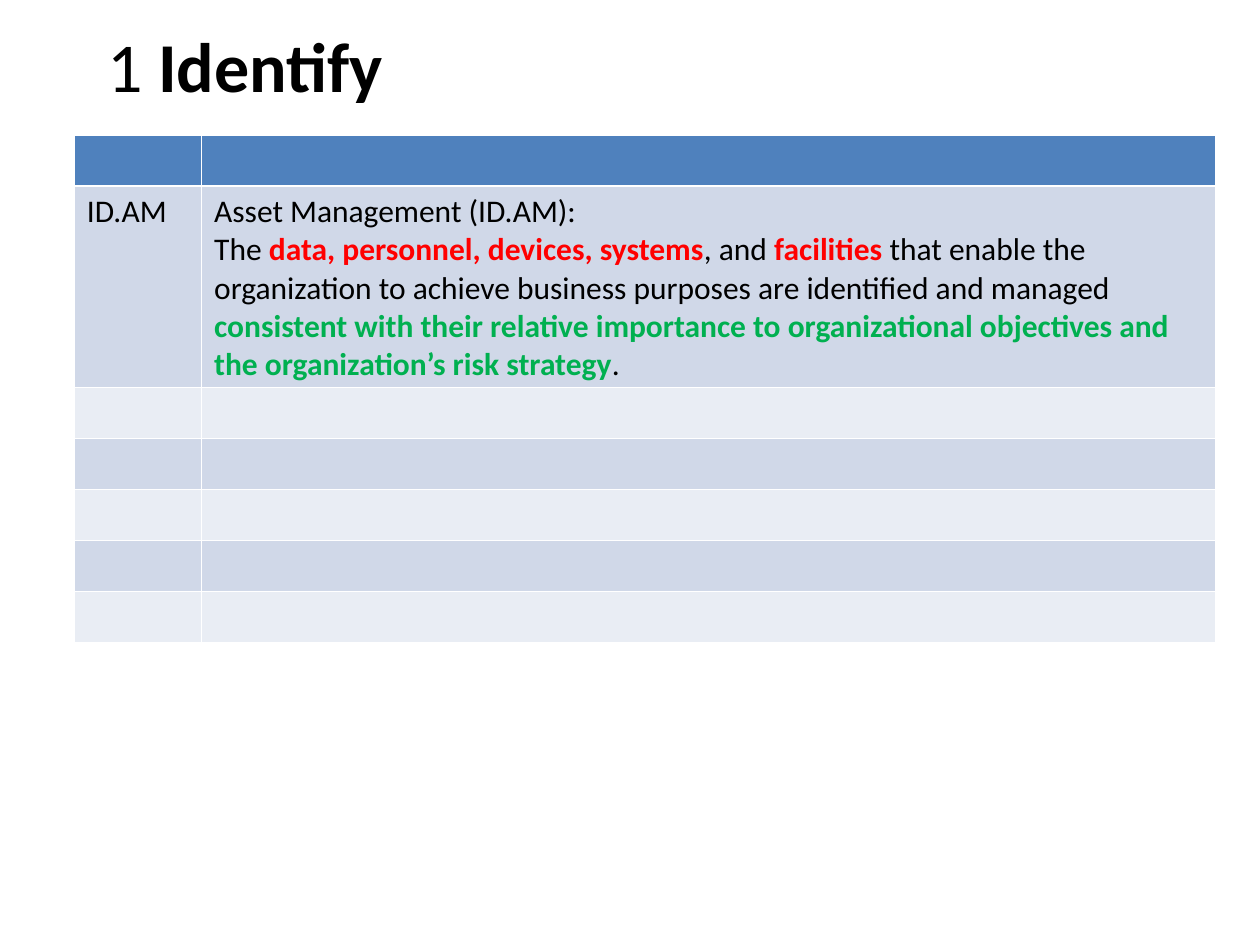
from dataclasses import dataclass

from pptx import Presentation
from pptx.dml.color import RGBColor
from pptx.enum.text import MSO_ANCHOR, MSO_AUTO_SIZE, PP_ALIGN
from pptx.util import Inches, Pt

COLORS = {
    "header": "4F81BD",
    "band_dark": "D0D8E8",
    "band_light": "E9EDF4",
    "text": "000000",
    "asset": "FF0000",
    "goal": "00B050",
}
FONT = "Calibri"
COLUMN_WIDTHS = (1.01, 8.05)
ROW_HEIGHT = 0.405
CATEGORY_HEIGHT = 1.6
ROW_COUNT = 7


@dataclass
class Span:
    text: str
    color: str = "text"
    bold: bool = False


CATEGORY = [[Span("ID.AM")]]
DESCRIPTION = [
    [Span("Asset Management (ID.AM):")],
    [
        Span("The "),
        Span("data, personnel, devices, systems", "asset", True),
        Span(", and "),
        Span("facilities", "asset", True),
        Span(" that enable the organization to achieve business purposes "
             "are identified and managed "),
        Span("consistent with their relative importance to organizational "
             "objectives and the organization’s risk strategy", "goal", True),
        Span("."),
    ],
]


def write_text(frame, paragraphs: list[list[Span]], *, size: float) -> None:
    for index, spans in enumerate(paragraphs):
        para = frame.add_paragraph() if index else frame.paragraphs[0]
        para.alignment = PP_ALIGN.LEFT
        for span in spans:
            run = para.add_run()
            run.text = span.text
            run.font.name = FONT
            run.font.size = Pt(size)
            run.font.bold = span.bold
            run.font.color.rgb = RGBColor.from_string(COLORS[span.color])


def add_title(page) -> None:
    title = page.shapes.title
    title.left, title.top = Inches(0.75), Inches(0.13)
    title.width, title.height = Inches(2.5), Inches(0.77)
    frame = title.text_frame
    frame.word_wrap = True
    frame.auto_size = MSO_AUTO_SIZE.SHAPE_TO_FIT_TEXT
    frame.vertical_anchor = MSO_ANCHOR.TOP
    write_text(frame, [[Span("1 "), Span("Identify", bold=True)]], size=40)


def row_color(index: int) -> str:
    if index == 0:
        return COLORS["header"]
    return COLORS["band_dark" if index % 2 else "band_light"]


def add_category_table(page) -> None:
    height = ROW_HEIGHT * (ROW_COUNT - 1) + CATEGORY_HEIGHT
    table = page.shapes.add_table(
        ROW_COUNT, len(COLUMN_WIDTHS), Inches(0.59), Inches(1.07),
        Inches(sum(COLUMN_WIDTHS)), Inches(height),
    ).table
    for column, width in zip(table.columns, COLUMN_WIDTHS):
        column.width = Inches(width)
    for index, row in enumerate(table.rows):
        row.height = Inches(CATEGORY_HEIGHT if index == 1 else ROW_HEIGHT)
        for cell in row.cells:
            cell.fill.solid()
            cell.fill.fore_color.rgb = RGBColor.from_string(row_color(index))
    for column, paragraphs in enumerate((CATEGORY, DESCRIPTION)):
        write_text(table.cell(1, column).text_frame, paragraphs, size=18)


def main() -> None:
    deck = Presentation()
    deck.slide_width, deck.slide_height = Inches(10), Inches(7.5)
    page = deck.slides.add_slide(deck.slide_layouts.get_by_name("Title Only"))
    add_category_table(page)
    add_title(page)
    deck.save("out.pptx")


if __name__ == "__main__":
    main()
